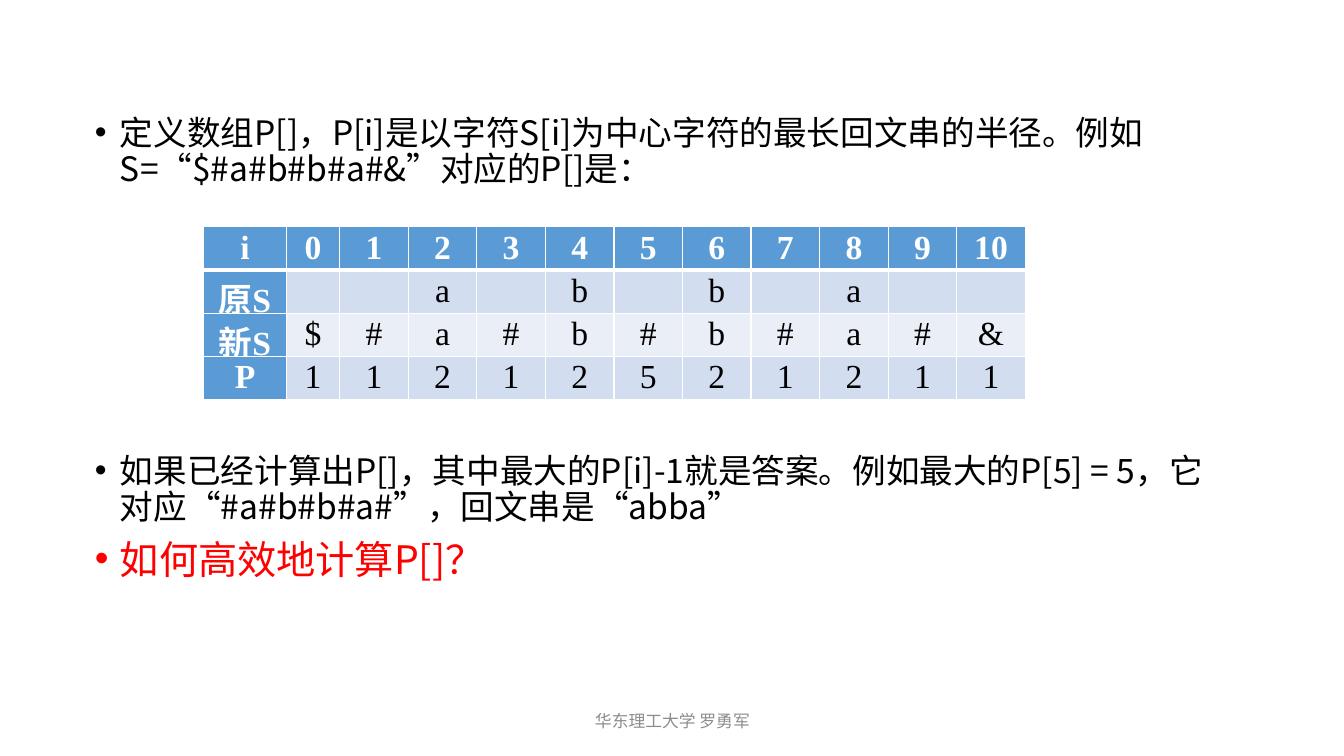
from lxml.etree import SubElement, Element
from pptx import Presentation
from pptx.dml.color import RGBColor
from pptx.enum.text import MSO_ANCHOR as Anchor, MSO_AUTO_SIZE as AutoSize, PP_ALIGN as Align
from pptx.oxml.ns import qn
from pptx.util import Inches, Pt

CJK_FONT = "Noto Sans CJK SC"
TABLE_FONT = "Times New Roman"
WHITE, BLACK, RED, GRAY = "FFFFFF", "000000", "FF0000", "8C8C8C"
HEADER, BANDS = "5B9BD5", ("D2DEEF", "EAEFF7")

BULLETS = [
    ("定义数组P[]，P[i]是以字符S[i]为中心字符的最长回文串的半径。例如S=“$#a#b#b#a#&”对应的P[]是：",
     dict(size=24, line=25.7)),
    ("如果已经计算出P[]，其中最大的P[i]-1就是答案。例如最大的P[5] = 5，它对应“#a#b#b#a#”，回文串是“abba”",
     dict(size=24, line=25.7, before=190)),
    ("如何高效地计算P[]？", dict(size=28, line=30, before=10, color=RED)),
]
ROWS = [
    ["i", *map(str, range(11))],
    ["原S", "", "", *"a b b a".replace(" ", "  ").split(" "), "", ""],
    ["新S", *"$#a#b#b#a#&"],
    ["P", *"11212521211"],
]
COLUMN_WIDTHS = [0.82, 0.53] + [0.68] * 10
ROW_HEIGHT = 0.4


def rgb(value):
    return RGBColor.from_string(value)


def write(para, text, size, font=CJK_FONT, color=BLACK, bold=False, align=None, line=None, before=0):
    para.alignment = align
    para.space_before = Pt(before)
    if line:
        para.line_spacing = Pt(line) if line > 5 else line
    span = para.add_run()
    span.text = text
    span.font.size = Pt(size)
    span.font.bold = bold
    span.font.color.rgb = rgb(color)
    span.font.name = font
    SubElement(span.font._element, qn("a:ea"), typeface=CJK_FONT)


def add_bullet(para, indent):
    props = para._p.get_or_add_pPr()
    props.set("marL", str(indent))
    props.set("indent", str(-indent))
    SubElement(props, qn("a:buFont"), typeface="Arial")
    SubElement(props, qn("a:buChar"), char="•")


def fill_body(page, left, top, width, height):
    page.shapes.title.element.getparent().remove(page.shapes.title.element)
    body = page.placeholders[1]
    body.left, body.top, body.width, body.height = map(Inches, (left, top, width, height))
    frame = body.text_frame
    frame.word_wrap = True
    frame.auto_size = AutoSize.NONE
    for number, (text, style) in enumerate(BULLETS):
        para = frame.add_paragraph() if number else frame.paragraphs[0]
        add_bullet(para, Inches(0.25))
        write(para, text, **style)


def set_borders(cell, widths):
    props = cell._tc.get_or_add_tcPr()
    for position, (side, width) in enumerate(zip("LRTB", widths)):
        border = Element(qn(f"a:ln{side}"), w=str(Pt(width)))
        paint = SubElement(border, qn("a:solidFill"))
        SubElement(paint, qn("a:srgbClr"), val=WHITE)
        props.insert(position, border)


def add_palindrome_table(page, left, top):
    size = sum(COLUMN_WIDTHS), ROW_HEIGHT * len(ROWS)
    table = page.shapes.add_table(len(ROWS), len(COLUMN_WIDTHS), *map(Inches, (left, top, *size))).table
    for column, width in zip(table.columns, COLUMN_WIDTHS):
        column.width = Inches(width)
    for r, texts in enumerate(ROWS):
        for c, text in enumerate(texts):
            cell = table.cell(r, c)
            heading = r == 0 or c == 0
            cell.margin_left = cell.margin_right = Inches(0.07)
            cell.margin_top = cell.margin_bottom = 0
            cell.fill.solid()
            cell.fill.fore_color.rgb = rgb(HEADER if heading else BANDS[(r - 1) % 2])
            set_borders(cell, (1, 1, 3 if r == 1 else 1, 3 if r == 0 else 1))
            if text:
                write(cell.text_frame.paragraphs[0], text, 24, font=TABLE_FONT, bold=heading,
                      color=WHITE if heading else BLACK, align=Align.CENTER, line=1.07)


def add_footer(page, left, top, width, height):
    frame = page.shapes.add_textbox(*map(Inches, (left, top, width, height))).text_frame
    frame.word_wrap = True
    frame.vertical_anchor = Anchor.MIDDLE
    write(frame.paragraphs[0], "华东理工大学 罗勇军", 12, font="Calibri", color=GRAY, align=Align.CENTER)


def main():
    deck = Presentation()
    deck.slide_width, deck.slide_height = Inches(13.33), Inches(7.5)
    page = deck.slides.add_slide(deck.slide_layouts[1])
    fill_body(page, 0.84, 1.1, 11.5, 4.76)
    add_footer(page, 4.42, 6.95, 4.5, 0.4)
    add_palindrome_table(page, 2.02, 2.25)
    deck.save("out.pptx")


if __name__ == "__main__":
    main()
